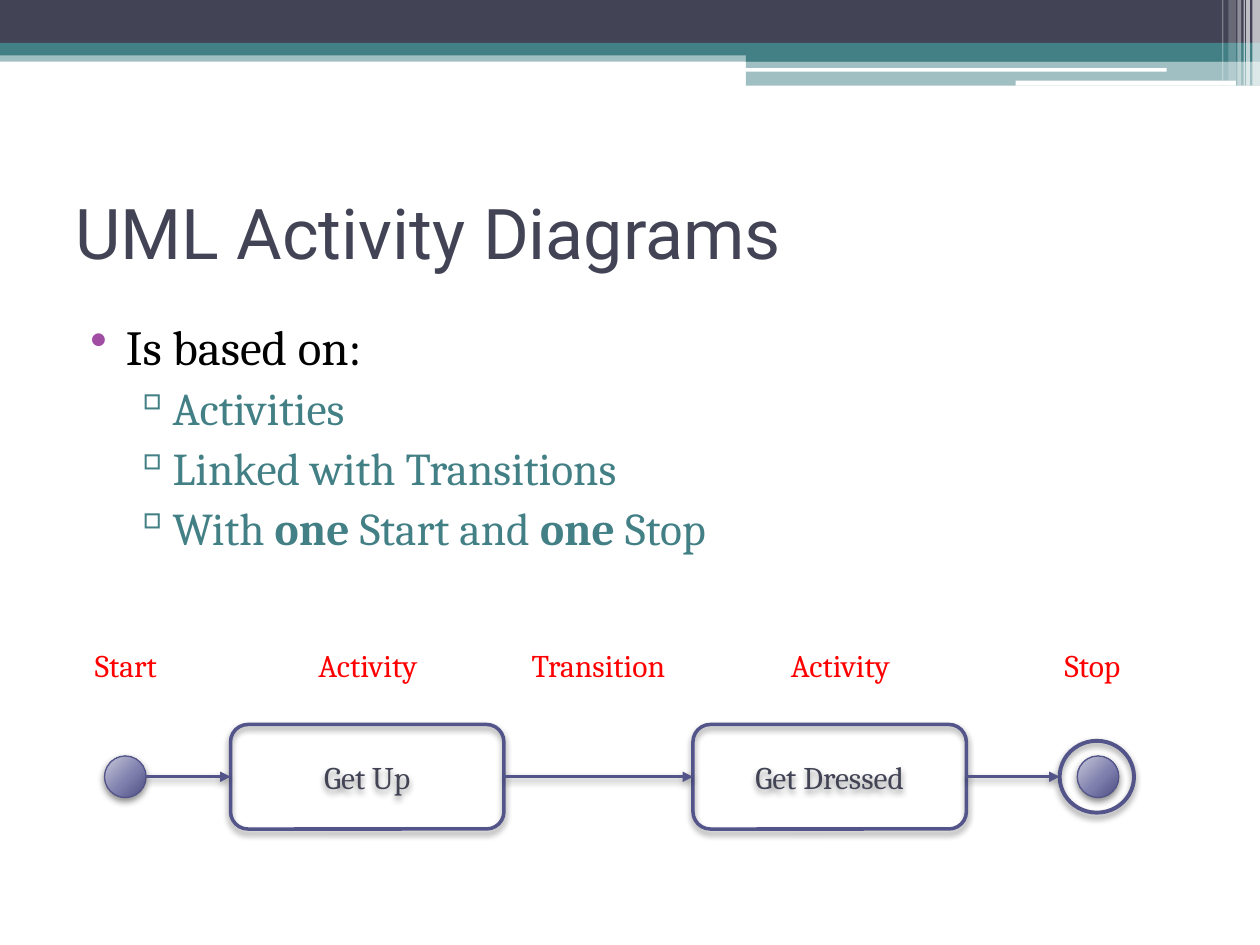
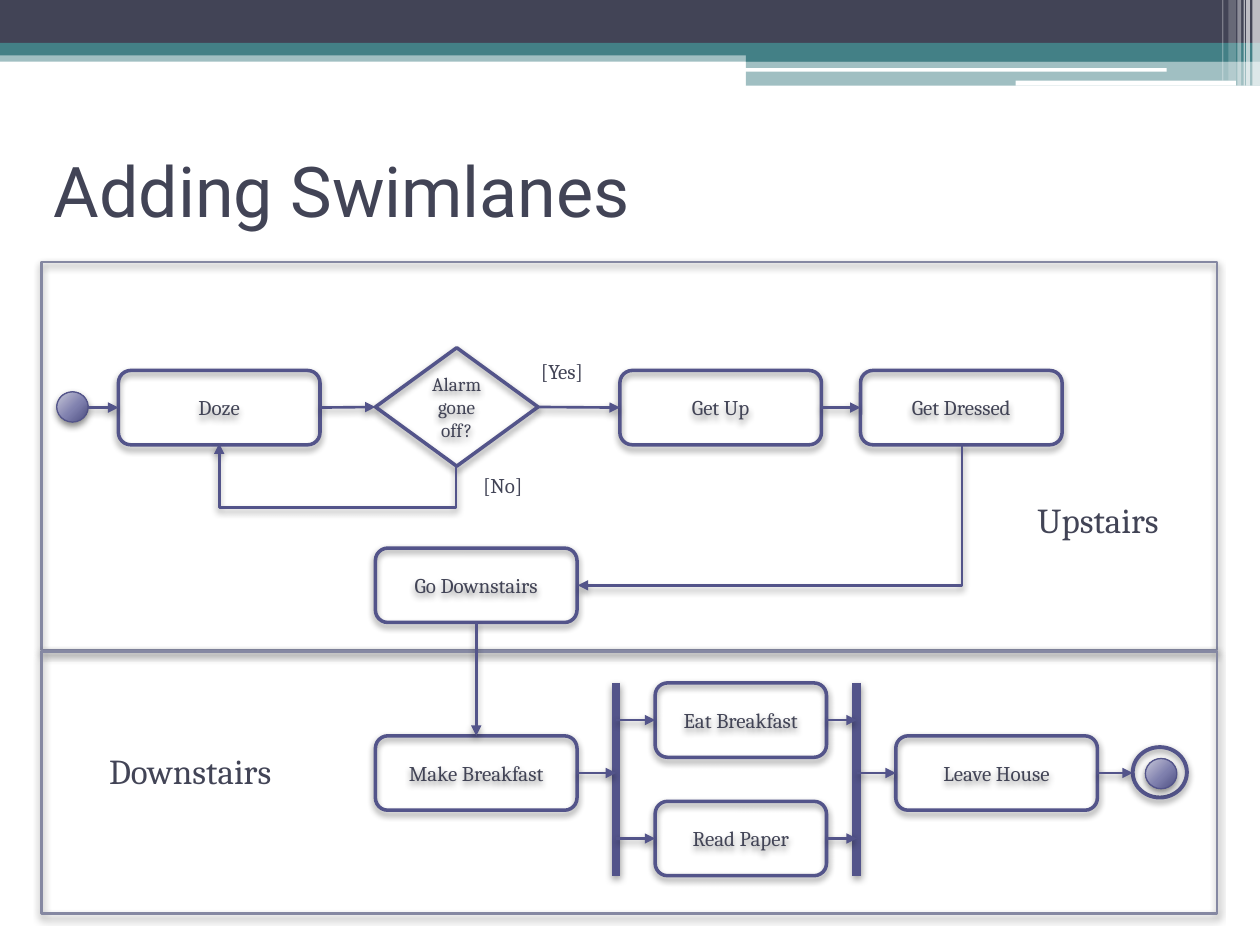
from typing import NamedTuple

from lxml.etree import SubElement
from pptx import Presentation
from pptx.dml.color import RGBColor
from pptx.enum.shapes import MSO_CONNECTOR as LINK, MSO_SHAPE as SHAPE, MSO_SHAPE_TYPE as KIND
from pptx.enum.text import MSO_ANCHOR as ANCHOR, PP_ALIGN as ALIGN
from pptx.oxml import parse_xml
from pptx.oxml.ns import nsdecls, qn
from pptx.util import Inches, Pt

COLORS = {
    "ink": "424456", "teal": "438086", "white": "FFFFFF", "violet": "53548A",
    "lane": "8588A2", "label": "FF0000", "black": "000000", "bullet": "A04DA3",
}
BODY_FONT, TITLE_FONT = "Cambria", "Roboto"
SHAPE_SHADOW = {"alpha": 45, "blur": 4}
LINE_SHADOW = {"alpha": 40, "blur": 4.1}
DOT_STOPS = {0: "C9C9DA", 55: "7F80AE", 100: "4D4E81"}
TOP, LEFT, BOTTOM, RIGHT = range(4)

# left, top, width, height, colour, opacity in percent
HEADER = [
    (0, 0.4, 10, 0.09, "teal", 50),
    (0, 0, 10, 0.34, "ink", 100),
    (0, 0.34, 10, 0.1, "teal", 100),
    (5.92, 0.39, 4.08, 0.1, "teal", 100),
    (5.92, 0.48, 4.08, 0.2, "teal", 50),
    (5.91, 0.54, 3.35, 0.03, "white", 100),
    (8.06, 0.64, 1.75, 0.04, "white", 100),
    (9.94, 0, 0.06, 0.68, "white", 65),
    (9.89, 0, 0.03, 0.68, "white", 65),
    (9.87, 0, 0.01, 0.68, "white", 60),
    (9.82, 0, 0.03, 0.68, "white", 40),
    (9.75, 0, 0.06, 0.64, "white", 20),
    (9.7, 0, 0.01, 0.64, "white", 30),
]


class Box(NamedTuple):
    """A region in inches."""
    left: float
    top: float
    width: float
    height: float

    def inner(self, x, y, width, height):
        """Box whose offset is counted from this box's corner."""
        return Box(self.left + x, self.top + y, width, height)

    def lengths(self):
        return [Inches(value) for value in self]


def rgb(color):
    return RGBColor.from_string(COLORS[color])


def style_font(font, size, color, name=BODY_FONT, bold=False):
    font.color.rgb = rgb(color)
    for attribute, value in {"size": Pt(size), "name": name, "bold": bold}.items():
        setattr(font, attribute, value)


def write(frame, text, size, color, name=BODY_FONT, align=ALIGN.CENTER, anchor=ANCHOR.TOP):
    frame.word_wrap = True
    frame.vertical_anchor = anchor
    paragraph = frame.paragraphs[0]
    paragraph.text = text
    paragraph.alignment = align
    style_font(paragraph.runs[0].font, size, color, name)


def add_label(slide, box, text, size, color="ink", **layout):
    write(slide.shapes.add_textbox(*box.lengths()).text_frame, text, size, color, **layout)


def cast_shadow(part, alpha, blur):
    properties = part.element.spPr
    effects = properties.find(qn("a:effectLst"))
    if effects is None:
        effects = SubElement(properties, qn("a:effectLst"))
    effects.append(parse_xml(
        f'<a:outerShdw {nsdecls("a")} blurRad="{Pt(blur)}" dist="{Pt(2)}" dir="5400000"'
        f' algn="ctr" rotWithShape="0"><a:srgbClr val="{COLORS["black"]}">'
        f'<a:alpha val="{alpha * 1000}"/></a:srgbClr></a:outerShdw>'))


def add_band(slide, box, color, opacity):
    band = slide.shapes.add_shape(SHAPE.RECTANGLE, *box.lengths())
    band.shadow.inherit = False
    band.fill.solid()
    band.fill.fore_color.rgb = rgb(color)
    band.line.fill.background()
    if opacity < 100:
        tint = band.element.spPr.find(f"{qn('a:solidFill')}/{qn('a:srgbClr')}")
        SubElement(tint, qn("a:alpha"), val=str(opacity * 1000))


def add_outline(slide, preset, box, width, color="violet"):
    outline = slide.shapes.add_shape(preset, *box.lengths())
    outline.shadow.inherit = False
    outline.fill.background()
    outline.line.color.rgb = rgb(color)
    outline.line.width = Pt(width)
    cast_shadow(outline, **SHAPE_SHADOW)
    return outline


def add_step(slide, box, text, size=12, preset=SHAPE.ROUNDED_RECTANGLE):
    step = add_outline(slide, preset, box, 2)
    write(step.text_frame, text, size, "ink", anchor=ANCHOR.MIDDLE)
    return step


def add_dot(slide, box):
    dot = add_outline(slide, SHAPE.OVAL, box, 0.75)
    stops = "".join(f'<a:gs pos="{position * 1000}"><a:srgbClr val="{color}"/></a:gs>'
                    for position, color in DOT_STOPS.items())
    properties = dot.element.spPr
    properties.replace(properties.find(qn("a:noFill")), parse_xml(
        f'<a:gradFill {nsdecls("a")} rotWithShape="1"><a:gsLst>{stops}</a:gsLst>'
        '<a:path path="circle"><a:fillToRect l="-40000" t="-90000" r="140000" b="190000"/>'
        '</a:path></a:gradFill>'))
    return dot


def add_stop(slide, ring_box, dot_box):
    ring = add_outline(slide, SHAPE.OVAL, ring_box, 2.25)
    add_dot(slide, dot_box)
    return ring


def style_line(line, width=1.5, arrow=True):
    line.line.color.rgb = rgb("violet")
    line.line.width = Pt(width)
    if arrow:
        SubElement(line.line._get_or_add_ln(), qn("a:tailEnd"), type="triangle")
    cast_shadow(line, **LINE_SHADOW)
    return line


def has_side_sites(node):
    return node.shape_type == KIND.AUTO_SHAPE and node.auto_shape_type != SHAPE.OVAL


def link_right(slide, source, target):
    """Level arrow, at the height of the step it touches."""
    step = target if has_side_sites(target) else source
    y = step.top + step.height // 2
    arrow = slide.shapes.add_connector(
        LINK.STRAIGHT, source.left + source.width, y, target.left, y)
    if has_side_sites(source):
        arrow.begin_connect(source, RIGHT)
    if has_side_sites(target):
        arrow.end_connect(target, LEFT)
    style_line(arrow)


def link_chain(slide, *nodes):
    for source, target in zip(nodes, nodes[1:]):
        link_right(slide, source, target)


def link_down(slide, source, target):
    arrow = slide.shapes.add_connector(LINK.STRAIGHT, 0, 0, 0, 0)
    arrow.begin_connect(source, BOTTOM)
    arrow.end_connect(target, TOP)
    style_line(arrow)


def link_bent(slide, box, preset, flip=False, bend=None):
    """Elbow arrow turned a quarter; box is its frame before turning."""
    left, top, width, height = box.lengths()
    arrow = slide.shapes.add_connector(LINK.ELBOW, left, top, left + width, top + height)
    properties = arrow.element.spPr
    frame = properties.find(qn("a:xfrm"))
    frame.set("rot", "5400000")
    if flip:
        frame.set("flipH", "1")
    geometry = properties.find(qn("a:prstGeom"))
    geometry.set("prst", preset)
    if bend is not None:
        guides = geometry.find(qn("a:avLst"))
        if guides is None:
            guides = SubElement(geometry, qn("a:avLst"))
        SubElement(guides, qn("a:gd"), name="adj1", fmla=f"val {bend}")
    style_line(arrow)


def add_fork_bar(slide, box):
    left, top, _, height = box.lengths()
    bar = slide.shapes.add_connector(LINK.STRAIGHT, left, top, left, top + height)
    return style_line(bar, 5, arrow=False)


def add_titled_slide(deck, title, box):
    slide = deck.slides.add_slide(deck.slide_layouts[6])
    for *band, color, opacity in HEADER:
        add_band(slide, Box(*band), color, opacity)
    add_label(slide, box, title, 40, name=TITLE_FONT, align=ALIGN.LEFT, anchor=ANCHOR.MIDDLE)
    return slide


def add_bullets(slide, box):
    # level, alternating plain and bold parts
    points = [
        (0, ["Is based on:"]),
        (1, ["Activities"]),
        (1, ["Linked with Transitions"]),
        (1, ["With ", "one ", "Start and ", "one ", "Stop"]),
    ]
    # left margin, hanging indent, sign, sign colour, size, text colour
    levels = [(0.4, -0.28, "•", "bullet", 28, "black"), (0.72, -0.27, "▫", "teal", 26, "teal")]
    frame = slide.shapes.add_textbox(*box.lengths()).text_frame
    frame.word_wrap = True
    for row, (level, parts) in enumerate(points):
        margin, hanging, sign, sign_color, size, color = levels[level]
        paragraph = frame.add_paragraph() if row else frame.paragraphs[0]
        paragraph.level = level
        properties = paragraph._p.get_or_add_pPr()
        properties.set("marL", str(Inches(margin)))
        properties.set("indent", str(Inches(hanging)))
        sign_fill = SubElement(properties, qn("a:buClr"))
        SubElement(sign_fill, qn("a:srgbClr"), val=COLORS[sign_color])
        SubElement(properties, qn("a:buChar"), char=sign)
        if row:
            paragraph.space_before = Pt(3)
        for index, text in enumerate(parts):
            run = paragraph.add_run()
            run.text = text
            style_font(run.font, size, color, bold=index % 2 == 1)


def add_activity_flow(slide, box):
    start = add_dot(slide, box.inner(0.33, 0.92, 0.33, 0.33))
    steps = [add_step(slide, box.inner(1.33 + 3.67 * column, 0.67, 2.17, 0.83), text, 18)
             for column, text in enumerate(["Get Up", "Get Dressed"])]
    stop = add_stop(slide, box.inner(7.91, 0.8, 0.59, 0.57), box.inner(8.05, 0.92, 0.33, 0.33))
    link_chain(slide, start, *steps, stop)
    for center, text in [(0.5, "Start"), (2.42, "Activity"), (4.25, "Transition"),
                         (6.17, "Activity"), (8.17, "Stop")]:
        add_label(slide, box.inner(center - 0.75, 0, 1.5, 0.4), text, 18, "label")


def add_upstairs(slide, lane):
    """Fill the upper lane and return the step that leads out of it."""
    start = add_dot(slide, lane.inner(0.12, 1.03, 0.25, 0.24))
    doze, get_up, get_dressed = [
        add_step(slide, lane.inner(x, 0.86, 1.6, 0.59), text)
        for x, text in [(0.61, "Doze"), (4.59, "Get Up"), (6.5, "Get Dressed")]]
    alarm = add_step(slide, lane.inner(2.65, 0.68, 1.29, 0.94), "Alarm gone off?", 11, SHAPE.DIAMOND)
    go_downstairs = add_step(slide, lane.inner(2.65, 2.27, 1.6, 0.59), "Go Downstairs")
    link_chain(slide, start, doze, alarm, get_up, get_dressed)
    link_bent(slide, lane.inner(2.26, 0.59, 0.18, 1.88), "bentConnector3", True, -181700)
    link_bent(slide, lane.inner(5.22, 0.48, 1.12, 3.05), "bentConnector2")
    add_label(slide, lane.inner(3.76, 0.72, 0.74, 0.3), "[Yes]", 12)
    add_label(slide, lane.inner(3.29, 1.62, 0.74, 0.3), "[No]", 12)
    add_label(slide, lane.inner(7.64, 1.83, 1.49, 0.44), "Upstairs", 20)
    return go_downstairs


def add_downstairs(slide, lane):
    """Fill the lower lane and return its first step."""
    make_breakfast, leave_house = [
        add_step(slide, lane.inner(x, 0.67, 1.6, 0.59), text)
        for x, text in [(2.65, "Make Breakfast"), (6.78, "Leave House")]]
    fork, join = [add_fork_bar(slide, lane.inner(x, 0.25, 0, 1.53)) for x in (4.56, 6.47)]
    for row, text in enumerate(["Eat Breakfast", "Read Paper"]):
        branch = add_step(slide, lane.inner(4.87, 0.25 + 0.94 * row, 1.36, 0.59), text)
        link_chain(slide, fork, branch, join)
    stop = add_stop(slide, lane.inner(8.66, 0.76, 0.43, 0.4), lane.inner(8.76, 0.85, 0.25, 0.24))
    link_right(slide, make_breakfast, fork)
    link_chain(slide, join, leave_house, stop)
    add_label(slide, lane.inner(0.36, 0.73, 1.64, 0.44), "Downstairs", 20)
    return make_breakfast


def build_diagrams_slide(deck):
    slide = add_titled_slide(deck, "UML Activity Diagrams", Box(0.5, 1.25, 9, 1.17))
    add_bullets(slide, Box(0.5, 2.46, 9, 2.29))
    add_activity_flow(slide, Box(0.5, 5.08, 8.67, 1.5))


def build_swimlanes_slide(deck):
    slide = add_titled_slide(deck, "Adding Swimlanes", Box(0.33, 0.92, 9, 1.17))
    upper, lower = Box(0.33, 2.08, 9.33, 3.08), Box(0.33, 5.17, 9.33, 2.08)
    for lane in (upper, lower):
        add_outline(slide, SHAPE.RECTANGLE, lane, 1.5, "lane")
    link_down(slide, add_upstairs(slide, upper), add_downstairs(slide, lower))


def main():
    deck = Presentation()
    deck.slide_width, deck.slide_height = Inches(10), Inches(7.5)
    build_diagrams_slide(deck)
    build_swimlanes_slide(deck)
    deck.save("out.pptx")


if __name__ == "__main__":
    main()
